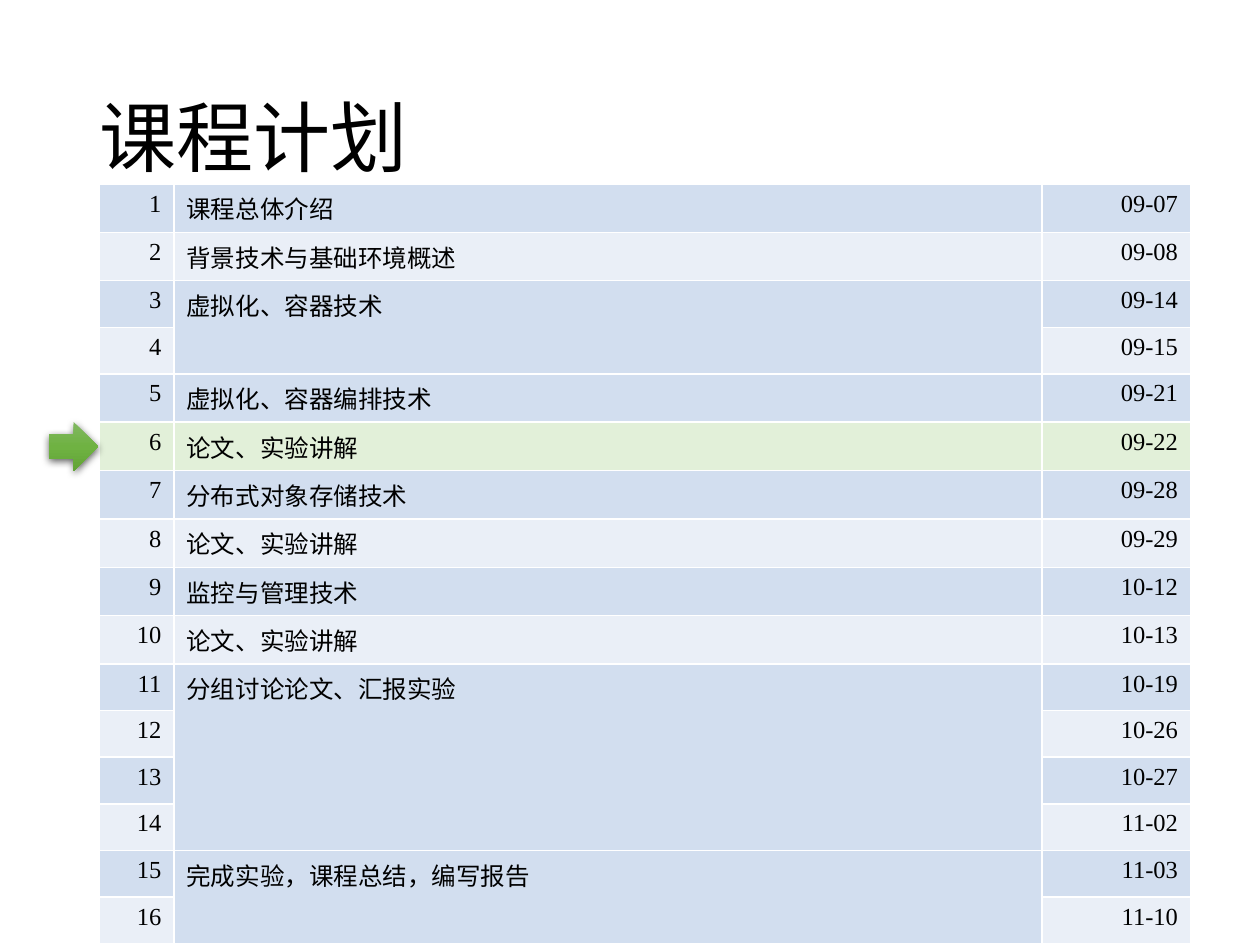
from lxml import etree
from pptx import Presentation
from pptx.dml.color import RGBColor
from pptx.enum.shapes import MSO_SHAPE
from pptx.enum.text import MSO_ANCHOR, PP_ALIGN
from pptx.oxml import parse_xml
from pptx.oxml.ns import nsdecls, qn
from pptx.util import Inches, Pt

BAND_DARK, BAND_LIGHT, CURRENT = "D2DEEF", "EAEFF7", "E2F0D9"
CURRENT_LESSON = 6

TOPICS = [
    ("课程总体介绍", ["09-07"]),
    ("背景技术与基础环境概述", ["09-08"]),
    ("虚拟化、容器技术", ["09-14", "09-15"]),
    ("虚拟化、容器编排技术", ["09-21"]),
    ("论文、实验讲解", ["09-22"]),
    ("分布式对象存储技术", ["09-28"]),
    ("论文、实验讲解", ["09-29"]),
    ("监控与管理技术", ["10-12"]),
    ("论文、实验讲解", ["10-13"]),
    ("分组讨论论文、汇报实验", ["10-19", "10-26", "10-27", "11-02"]),
    ("完成实验，课程总结，编写报告", ["11-03", "11-10"]),
]


def rgb(value):
    return RGBColor.from_string(value)


class CoursePlan:
    """Holds the text style and the current slide, and draws its elements."""

    font, ink, border = "Times New Roman", "000000", "FFFFFF"

    def __init__(self, prs):
        self.slide = prs.slides.add_slide(prs.slide_layouts[5])

    def put_text(self, frame, text, size, align):
        paragraph = frame.paragraphs[0]
        paragraph.alignment = align
        run = paragraph.add_run()
        run.text = text
        run.font.size = Pt(size)
        run.font.name = self.font
        run.font.color.rgb = rgb(self.ink)
        return paragraph

    def title(self, text, left, top, width, height):
        title = self.slide.shapes.title
        title.left, title.top = Inches(left), Inches(top)
        title.width, title.height = Inches(width), Inches(height)
        title.text_frame.vertical_anchor = MSO_ANCHOR.MIDDLE
        self.put_text(title.text_frame, text, 44, PP_ALIGN.LEFT).line_spacing = 0.9

    def cell(self, cell, text, align, fill):
        properties = cell._tc.get_or_add_tcPr()
        for side in ("lnL", "lnR", "lnT", "lnB"):
            line = etree.SubElement(properties, qn(f"a:{side}"), w=str(Pt(1)))
            solid = etree.SubElement(line, qn("a:solidFill"))
            etree.SubElement(solid, qn("a:srgbClr"), val=self.border)
        cell.fill.solid()
        cell.fill.fore_color.rgb = rgb(fill)
        if text:
            self.put_text(cell.text_frame, text, 14, align)

    def schedule(self, topics, left, top, widths, row_height):
        count = sum(len(dates) for _, dates in topics)
        table = self.slide.shapes.add_table(
            count, len(widths), Inches(left), Inches(top),
            Inches(sum(widths)), Inches(row_height * count)).table
        table.first_row = False
        for column, width in zip(table.columns, widths):
            column.width = Inches(width)
        for row in table.rows:
            row.height = Inches(row_height)
        lesson = 0
        for topic, dates in topics:
            first = lesson
            for date in dates:
                lesson += 1
                fill = BAND_DARK if lesson % 2 else BAND_LIGHT
                if lesson == CURRENT_LESSON:
                    fill = CURRENT
                label = topic if lesson == first + 1 else ""
                texts = (str(lesson), label, date)
                aligns = (PP_ALIGN.RIGHT, PP_ALIGN.LEFT, PP_ALIGN.RIGHT)
                for column, (text, align) in enumerate(zip(texts, aligns)):
                    self.cell(table.cell(lesson - 1, column), text, align, fill)
            if len(dates) > 1:
                table.cell(first, 1).merge(table.cell(lesson - 1, 1))

    def arrow(self, left, top, size, colors):
        arrow = self.slide.shapes.add_shape(
            MSO_SHAPE.RIGHT_ARROW, Inches(left), Inches(top), Inches(size), Inches(size))
        arrow.line.fill.background()
        arrow.shadow.inherit = False
        properties = arrow._element.spPr
        step = 100000 // (len(colors) - 1)
        stops = "".join(f'<a:gs pos="{i * step}"><a:srgbClr val="{color}"/></a:gs>'
                        for i, color in enumerate(colors))
        properties.find(qn("a:prstGeom")).addnext(parse_xml(
            f'<a:gradFill {nsdecls("a")}><a:gsLst>{stops}</a:gsLst>'
            '<a:lin ang="5400000" scaled="0"/></a:gradFill>'))
        properties.find(qn("a:effectLst")).append(parse_xml(
            f'<a:outerShdw {nsdecls("a")} blurRad="{Pt(4.5)}" dist="{Pt(1.5)}" '
            'dir="5400000" algn="ctr" rotWithShape="0"><a:srgbClr val="000000">'
            '<a:alpha val="63000"/></a:srgbClr></a:outerShdw>'))


prs = Presentation()
prs.slide_width, prs.slide_height = Inches(10), Inches(7.5)
plan = CoursePlan(prs)
plan.title("课程计划", 0.69, 0.4, 8.62, 1.45)
plan.schedule(TOPICS, 0.79, 1.46, (0.59, 6.89, 1.18), 0.37)
plan.arrow(0.39, 3.35, 0.39, ("81B861", "6FB242", "62A336"))
prs.save("out.pptx")
